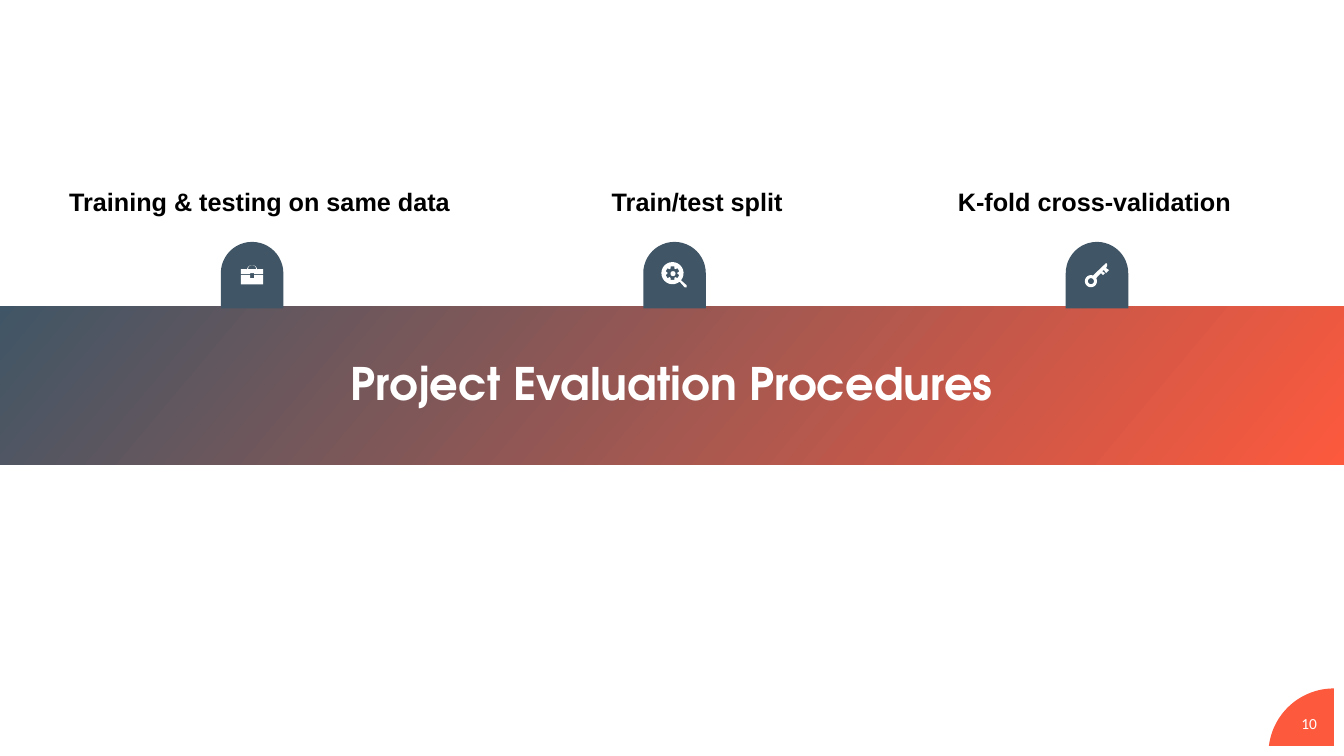
from dataclasses import dataclass
from math import cos, radians, sin

from pptx import Presentation
from pptx.dml.color import RGBColor
from pptx.enum.shapes import MSO_SHAPE
from pptx.enum.text import MSO_ANCHOR, PP_ALIGN
from pptx.util import Inches, Pt


@dataclass(frozen=True)
class Theme:
    """Colours, fonts and type sizes of the slide."""
    slate: RGBColor = RGBColor(0x40, 0x56, 0x66)
    coral: RGBColor = RGBColor(0xFD, 0x59, 0x3D)
    white: RGBColor = RGBColor(0xFF, 0xFF, 0xFF)
    black: RGBColor = RGBColor(0, 0, 0)
    title_font: str = "TeX Gyre Adventor"
    heading_font: str = "Arial"
    number_font: str = "Calibri"
    title_size: Pt = Pt(32)
    heading_size: Pt = Pt(18)
    number_size: Pt = Pt(11)


def set_attributes(target, values):
    """Set each named attribute of the target."""
    for name, value in values.items():
        setattr(target, name, value)


def arc(x, y, radius, start, end, steps=24):
    """Return points on a circle, with angles clockwise from the right."""
    angles = [radians(start + (end - start) * step / steps) for step in range(steps + 1)]
    return [(x + radius * cos(angle), y + radius * sin(angle)) for angle in angles]


def gear(x, y, inner, outer, teeth=6):
    """Return the outline of a gear with evenly spaced teeth."""
    corners = [(-23, inner), (-15, outer), (15, outer), (23, inner)]
    points = []
    for tooth in range(teeth):
        for offset, radius in corners:
            angle = 360 * tooth / teeth - 90 + offset
            points += arc(x, y, radius, angle, angle, 1)[:1]
    return points


class SlideBuilder:
    """Draws styled elements on the current slide."""

    def __init__(self, slide, theme):
        self.slide = slide
        self.theme = theme

    def finish(self, shape, color):
        """Give a shape a plain fill with no line or shadow."""
        shape.shadow.inherit = False
        shape.line.fill.background()
        shape.fill.solid()
        shape.fill.fore_color.rgb = color
        return shape

    def shape(self, kind, box, color):
        """Add a preset shape."""
        lengths = [Inches(length) for length in box]
        return self.finish(self.slide.shapes.add_shape(kind, *lengths), color)

    def outline(self, contours, color):
        """Add a freeform made of closed contours."""
        contours = [[(Inches(x), Inches(y)) for x, y in points] for points in contours]
        builder = self.slide.shapes.build_freeform(*contours[0][0])
        for index, points in enumerate(contours):
            if index:
                builder.move_to(*points[0])
            builder.add_line_segments(points[1:], close=True)
        return self.finish(builder.convert_to_shape(), color)

    def band(self, box, colors, angle):
        """Add a rectangle with a linear gradient."""
        band = self.shape(MSO_SHAPE.RECTANGLE, box, colors[0])
        band.fill.gradient()
        band.fill.gradient_angle = angle
        for stop, color in zip(band.fill.gradient_stops, colors):
            stop.color.rgb = color

    def text(self, content, box, color, font, margins=(0.1, 0.05), indent=0, spacing=None):
        """Add a centred text box."""
        frame = self.slide.shapes.add_textbox(*[Inches(length) for length in box]).text_frame
        horizontal, vertical = [Inches(margin) for margin in margins]
        set_attributes(frame, {
            "word_wrap": True, "vertical_anchor": MSO_ANCHOR.MIDDLE,
            "margin_left": horizontal, "margin_right": horizontal,
            "margin_top": vertical, "margin_bottom": vertical,
        })
        paragraph = frame.paragraphs[0]
        set_attributes(paragraph, {"alignment": PP_ALIGN.CENTER, **(spacing or {})})
        if indent:
            paragraph._p.get_or_add_pPr().set("marL", str(Inches(indent)))
        run = paragraph.add_run()
        run.text = content
        set_attributes(run.font, font)
        run.font.color.rgb = color

    def briefcase(self):
        """Add the briefcase icon."""
        lid = [(2.39, 2.67), *arc(2.5, 2.68, 0.05, 190, 350), (2.61, 2.67), (2.61, 2.72),
               (2.52, 2.72), (2.52, 2.71), (2.48, 2.71), (2.48, 2.72), (2.39, 2.72)]
        handle = arc(2.5, 2.67, 0.04, 180, 360)
        body = [(2.39, 2.73), (2.48, 2.73), (2.48, 2.76), (2.52, 2.76), (2.52, 2.73),
                (2.61, 2.73), (2.61, 2.82), (2.39, 2.82)]
        self.outline([lid, handle], self.theme.white)
        self.outline([body], self.theme.white)

    def magnifier(self):
        """Add the magnifier icon with a gear in its lens."""
        lens = [(6.81, 2.83), *arc(6.67, 2.71, 0.11, 40, -310), (6.79, 2.85), (6.81, 2.85)]
        self.outline([lens, gear(6.67, 2.71, 0.05, 0.07)], self.theme.white)
        self.shape(MSO_SHAPE.OVAL, (6.65, 2.69, 0.05, 0.05), self.theme.white)

    def key(self):
        """Add the key icon."""
        blade = [(10.96, 2.62), (10.97, 2.61), (10.98, 2.62), (10.98, 2.64), (10.97, 2.66),
                 (11, 2.68), (10.97, 2.71), (10.95, 2.68), (10.93, 2.69), (10.96, 2.71),
                 (10.94, 2.73), (10.92, 2.71)]
        bow = arc(10.82, 2.79, 0.06, -30, 290)
        self.outline([bow + blade, arc(10.82, 2.79, 0.03, 0, 360)], self.theme.white)


def main():
    """Build and save the slide."""
    presentation = Presentation()
    set_attributes(presentation, {"slide_width": Inches(13.33), "slide_height": Inches(7.5)})
    theme = Theme()
    builder = SlideBuilder(presentation.slides.add_slide(presentation.slide_layouts[6]), theme)

    corner = [(13.23, 7.4), *arc(13.23, 7.48, 0.65, 187, 270)]
    builder.outline([corner], theme.coral)
    builder.band((0, 3.04, 13.33, 1.57), (theme.slate, theme.coral), 320)

    heading_font = {"name": theme.heading_font, "size": theme.heading_size, "bold": True}
    loose = {"space_before": Pt(12), "space_after": Pt(12)}
    headings = [
        ("Training & testing on same data", 0.34, 4.47, 0, None),
        ("Train/test split", 5.08, 3.17, 0.5, loose),
        ("K-fold cross-validation", 9.27, 3.17, 0, None),
    ]
    for index, (heading, left, width, indent, spacing) in enumerate(headings):
        builder.text(heading, (left, 1.79, width, 0.41), theme.black, heading_font,
                     (0, 0), indent, spacing)
        tab_box = (2.19 + 4.19 * index, 2.4, 0.62, 0.66)
        tab = builder.shape(MSO_SHAPE.ROUND_2_SAME_RECTANGLE, tab_box, theme.slate)
        tab.adjustments[0] = 0.5

    builder.briefcase()
    builder.magnifier()
    builder.key()

    title_font = {"name": theme.title_font, "size": theme.title_size, "bold": True}
    builder.text("Project Evaluation Procedures", (0.66, 3.34, 12.01, 0.98), theme.white,
                 title_font, spacing={"line_spacing": 0.9})
    number_font = {"name": theme.number_font, "size": theme.number_size}
    builder.text("10", (12.77, 6.98, 0.43, 0.4), theme.white, number_font)
    presentation.save("out.pptx")


if __name__ == "__main__":
    main()
